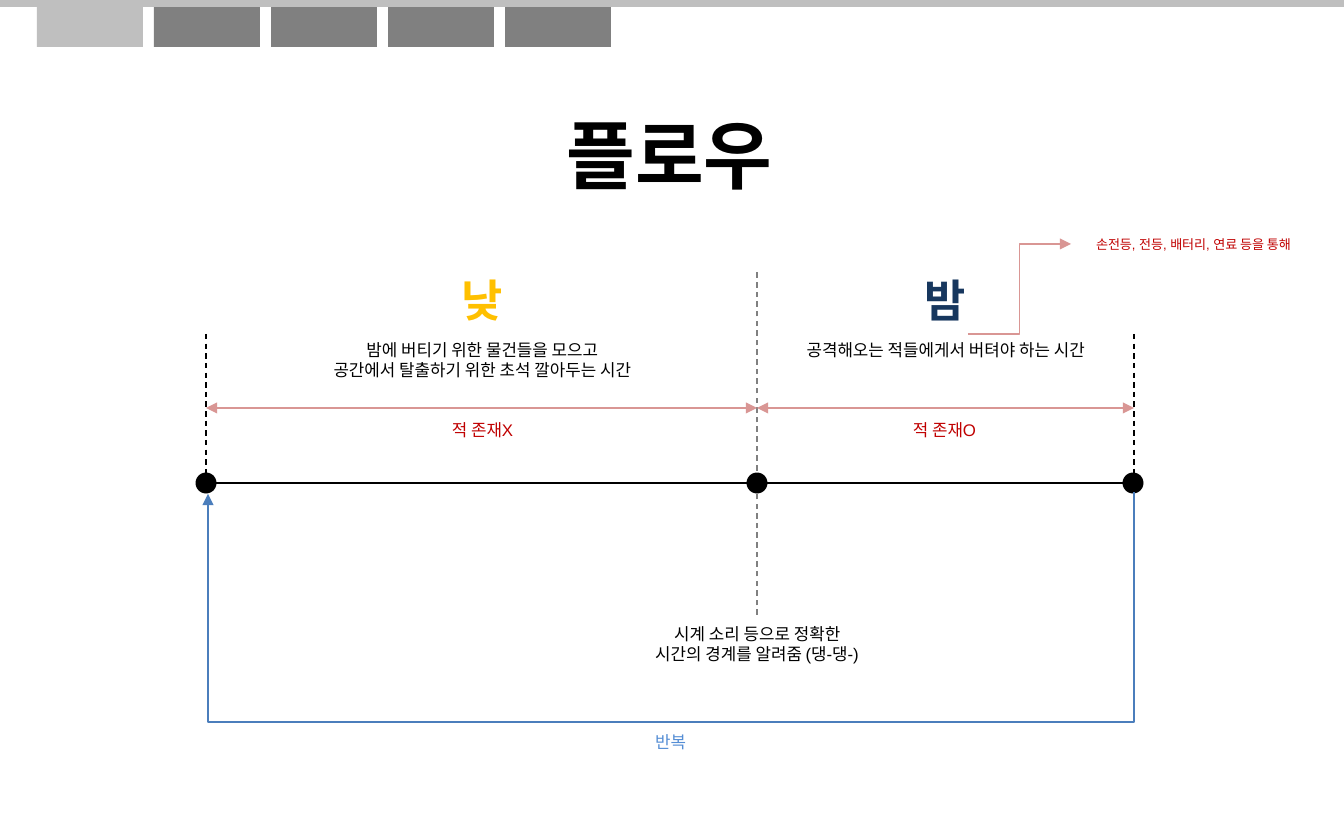
import pptx
import pptx.util
import pptx.dml.color
import pptx.enum.dml
import pptx.enum.shapes
import pptx.enum.text
import pptx.oxml
from pptx.oxml.ns import qn

RGB = pptx.dml.color.RGBColor
BLACK = RGB(0x00, 0x00, 0x00)
GRAY = RGB(0x80, 0x80, 0x80)
LIGHT_GRAY = RGB(0xBF, 0xBF, 0xBF)
YELLOW = RGB(0xFF, 0xC0, 0x00)
NAVY = RGB(0x17, 0x37, 0x5E)
BLUE = RGB(0x4B, 0x7E, 0xBC)
LIGHT_BLUE = RGB(0x55, 0x8E, 0xD5)
RED = RGB(0xC0, 0x00, 0x00)
PINK = RGB(0xD9, 0x96, 0x94)
FONT = "Arial"
PIXEL = 914400 / 134.4

# Content: lines of text, box in pixels, size, colour, bold, wrap
TITLE = (["플로우"], (491, 102, 357, 103), 40, BLACK, True, True)
LABELS = [
    (["낮"], (208, 266, 549, 67), 24, YELLOW, True, True),
    (["밤"], (757, 266, 376, 67), 24, NAVY, True, True),
    (["밤에 버티기 위한 물건들을 모으고", "공간에서 탈출하기 위한 초석 깔아두는 시간"],
     (228, 333, 508, 54), 9, BLACK, False, True),
    (["공격해오는 적들에게서 버텨야 하는 시간"], (774, 333, 343, 34), 9, BLACK, False, True),
    (["적 존재X"], (319, 413, 327, 34), 9, RED, False, True),
    (["적 존재O"], (781, 413, 327, 34), 9, RED, False, True),
    (["시계 소리 등으로 정확한", "시간의 경계를 알려줌 (댕-댕-)"],
     (626, 617, 262, 54), 9, BLACK, False, False),
    (["반복"], (640, 725, 61, 34), 9, LIGHT_BLUE, False, False),
    (["손전등, 전등, 배터리, 연료 등을 통해"], (1043, 230, 301, 29), 7, RED, False, True),
]

# Timeline: day from START to DUSK, night from DUSK to END
START, DUSK, END = 206, 757, 1134
TIMELINE_Y, SPAN_Y, BOUNDARY_TOP = 483, 408, 334
DOT = 21
LINES = [  # from, to, colour, dashed, arrows at (from, to)
    ((START, TIMELINE_Y), (END, TIMELINE_Y), BLACK, False, ()),
    ((DUSK, 615), (DUSK, 270), GRAY, True, ()),
    ((START, BOUNDARY_TOP), (START, TIMELINE_Y), BLACK, True, ()),
    ((END, BOUNDARY_TOP), (END, TIMELINE_Y), BLACK, True, ()),
    ((START, SPAN_Y), (DUSK, SPAN_Y), PINK, False, ("headEnd", "tailEnd")),
    ((DUSK, SPAN_Y), (END, SPAN_Y), PINK, False, ("headEnd", "tailEnd")),
]

# Navigation tabs
TAB_COUNT, TAB_LEFT, TAB_TOP, TAB_STEP, TAB_WIDTH, TAB_HEIGHT = 5, 37, 7, 117, 106, 40


def emu(pixels):
    return pptx.util.Emu(round(pixels * PIXEL))


def write(shape, lines, size, color, bold, wrap):
    frame = shape.text_frame
    frame.word_wrap = wrap
    for index, line in enumerate(lines):
        paragraph = frame.paragraphs[0] if index == 0 else frame.add_paragraph()
        paragraph.alignment = pptx.enum.text.PP_ALIGN.CENTER
        run = paragraph.add_run()
        run.text = line
        run.font.name = FONT
        run.font.size = pptx.util.Pt(size)
        run.font.bold = bold
        run.font.color.rgb = color


def add_block(kind, box, color):
    shape = slide.shapes.add_shape(kind, *map(emu, box))
    shape.shadow.inherit = False
    shape.fill.solid()
    shape.fill.fore_color.rgb = color
    shape.line.fill.background()


def add_line(start, end, color, dashed=False, arrows=(), elbow=False):
    kinds = pptx.enum.shapes.MSO_CONNECTOR
    connector = slide.shapes.add_connector(
        kinds.ELBOW if elbow else kinds.STRAIGHT, *map(emu, start + end))
    connector.line.color.rgb = color
    connector.line.width = pptx.util.Pt(0.75)
    if dashed:
        connector.line.dash_style = pptx.enum.dml.MSO_LINE.DASH
    line = connector.line._get_or_add_ln()
    for arrow in arrows:
        pptx.oxml.xmlchemy.OxmlElement("a:effectLst")
        line.append(pptx.oxml.xmlchemy.OxmlElement("a:" + arrow))
        line[-1].set("type", "triangle")
    properties = connector._element.spPr
    properties.append(pptx.oxml.xmlchemy.OxmlElement("a:effectLst"))
    return connector


presentation = pptx.Presentation()
presentation.slide_width = pptx.util.Inches(10)
presentation.slide_height = pptx.util.Inches(6.25)
slide = presentation.slides.add_slide(presentation.slide_layouts[5])

# Title
lines, box, *style = TITLE
title = slide.shapes.title
title.left, title.top, title.width, title.height = map(emu, box)
write(title, lines, *style)

# Top bar and tabs, the first one active
RECTANGLE = pptx.enum.shapes.MSO_SHAPE.RECTANGLE
for index in range(TAB_COUNT):
    add_block(RECTANGLE, (TAB_LEFT + index * TAB_STEP, TAB_TOP, TAB_WIDTH, TAB_HEIGHT),
              GRAY if index else LIGHT_GRAY)
add_block(RECTANGLE, (0, 0, 1344, TAB_TOP), LIGHT_GRAY)

# Timeline with its boundaries, spans and dots
for line in LINES:
    add_line(*line)
for center in (START, DUSK, END - 1):
    add_block(pptx.enum.shapes.MSO_SHAPE.OVAL,
              (center - DOT / 2, TIMELINE_Y - DOT / 2, DOT, DOT), BLACK)

# Arrow from night to its note
add_line((968, 334), (1071, 244), PINK, arrows=("tailEnd",), elbow=True)

# Repeat loop: a quarter-turned elbow that drops below both of its ends
loop_top, loop_bottom, rise = 492, 721, 2
center_x, center_y, length = (END + 208) / 2, loop_top + rise / 2, END - 208
loop = add_line((center_x - rise / 2, center_y - length / 2),
                (center_x + rise / 2, center_y + length / 2),
                BLUE, arrows=("tailEnd",), elbow=True)
loop._element.spPr.find(qn("a:xfrm")).set("rot", "5400000")
geometry = loop._element.spPr.find(qn("a:prstGeom"))
guide = pptx.oxml.xmlchemy.OxmlElement("a:gd")
guide.set("name", "adj1")
guide.set("fmla", f"val {round((loop_bottom - loop_top) / rise * 100000)}")
geometry.get_or_add_avLst().append(guide)

# Labels
for lines, box, *style in LABELS:
    write(slide.shapes.add_textbox(*map(emu, box)), lines, *style)

presentation.save("out.pptx")
